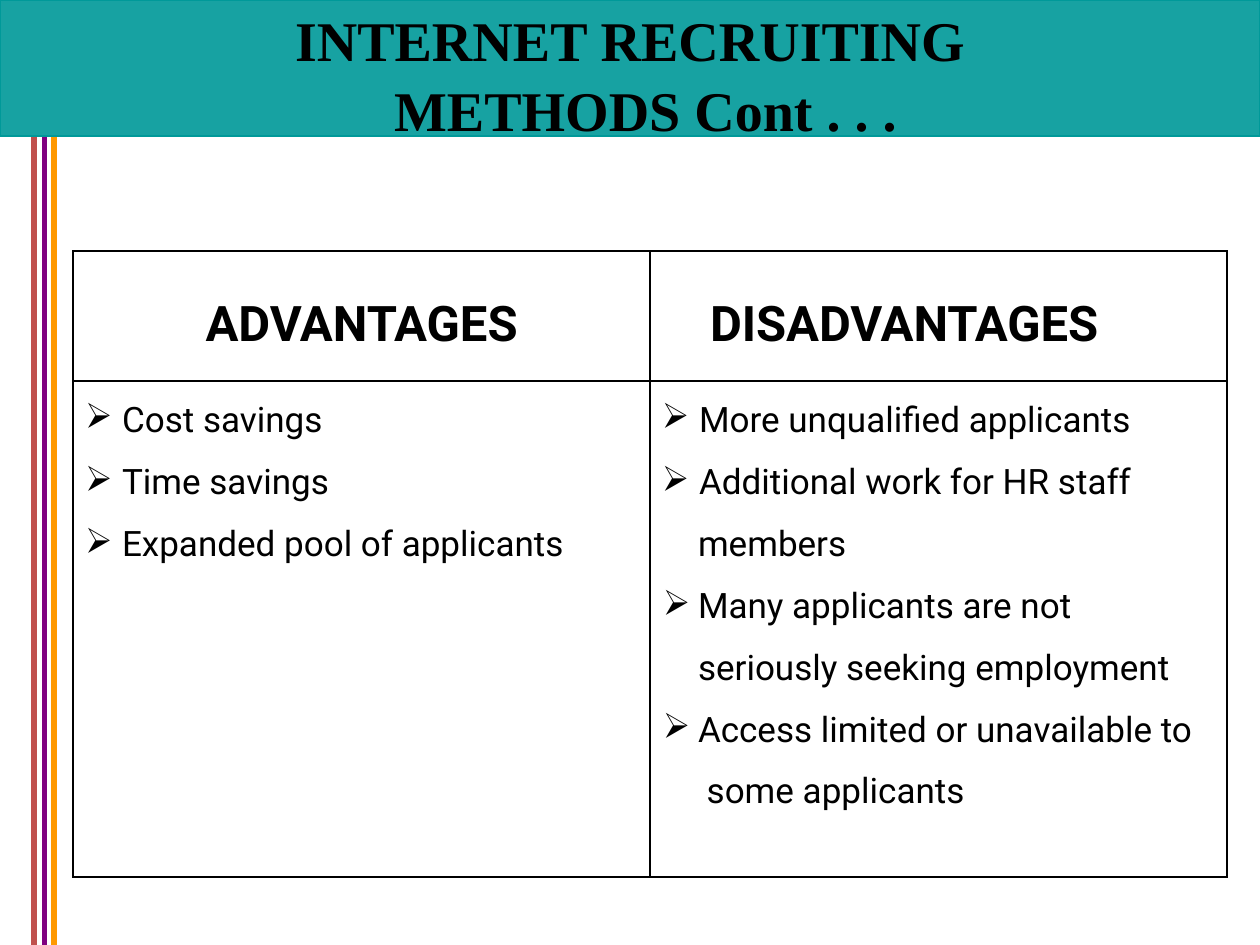
from lxml.etree import SubElement
from pptx import Presentation
from pptx.dml.color import RGBColor
from pptx.enum.shapes import MSO_CONNECTOR, MSO_SHAPE
from pptx.enum.text import PP_ALIGN
from pptx.oxml.ns import qn
from pptx.util import Emu, Pt

SCALE = 914400 / 126
BLACK = RGBColor(0, 0, 0)
WHITE = RGBColor(255, 255, 255)
TEAL = RGBColor(0, 153, 153)
RED = RGBColor(192, 80, 77)
PURPLE = RGBColor(128, 0, 128)
ORANGE = RGBColor(255, 153, 0)
SERIF = "Times New Roman"
SANS = "Roboto"

PROS = [
    (["Cost savings"], 49, 37, 0),
    (["Time savings"], 49, 37, 12),
    (["Expanded pool of applicants"], 49, 37, 12),
]
CONS = [
    (["More unqualified applicants"], 49, 37, 0),
    (["Additional work for HR staff"], 49, 37, 12),
    (["members"], 48, 0, 12),
    (["Many applicants are not", "seriously seeking employment"], 48, 35, None),
    (["Access limited or unavailable to", " some applicants"], 48, 35, None),
]


def px(n):
    return Emu(round(n * SCALE))


def pad(box, top):
    box.margin_left = box.margin_right = box.margin_bottom = 0
    box.margin_top = px(top)


def write(para, lines, face, size, bold=False):
    for i, line in enumerate(lines):
        if i:
            para.add_line_break()
        run = para.add_run()
        run.text = line
        font = run.font
        font.name, font.size, font.bold = face, Pt(size), bold
        font.color.rgb = BLACK
    para.font.size = Pt(size)


def indent(para, left, hang=0):
    props = para._p.get_or_add_pPr()
    props.set("marL", str(px(left)))
    props.set("indent", str(-px(hang)))
    return props


def block(slide, left, top, width, height, color):
    shape = slide.shapes.add_shape(
        MSO_SHAPE.RECTANGLE, px(left), px(top), px(width), px(height))
    shape.shadow.inherit = False
    shape.fill.solid()
    shape.fill.fore_color.rgb = color
    shape.line.fill.background()
    return shape


def stripes(slide, left, top, height):
    for x, color in ((0, RED), (20, ORANGE)):
        line = slide.shapes.add_connector(
            MSO_CONNECTOR.STRAIGHT, px(left + x), px(top),
            px(left + x), px(top + height))
        line.line.color.rgb = color
        line.line.width = Pt(3)
        SubElement(line._element.spPr, qn("a:effectLst"))
    block(slide, left + 8, top, 5, height, PURPLE)


def banner(slide, left, top, width, height):
    band = block(slide, left, top, width, height, TEAL)
    tint = band._element.spPr.find(qn("a:solidFill"))[0]
    SubElement(tint, qn("a:alpha"), val="91000")
    band.line.color.rgb = TEAL
    band.line.width = Pt(1)
    box = slide.shapes.add_textbox(
        px(left + 294), px(top), px(width - 586), px(height + 2))
    frame = box.text_frame
    frame.word_wrap = True
    pad(frame, 2)
    para = frame.paragraphs[0]
    indent(para, 86, 85)
    para.line_spacing = 1.05
    write(para, ["INTERNET RECRUITING", " METHODS Cont . . ."], SERIF, 32, True)


def style(cell, top):
    pad(cell, top)
    props = cell._tc.get_or_add_tcPr()
    for side in ("lnL", "lnR", "lnT", "lnB"):
        edge = SubElement(props, qn("a:" + side), w=str(Pt(1)))
        fill = SubElement(edge, qn("a:solidFill"))
        SubElement(fill, qn("a:srgbClr"), val=str(BLACK))
    cell.fill.solid()
    cell.fill.fore_color.rgb = WHITE


def points(frame, items):
    for i, (lines, left, hang, gap) in enumerate(items):
        para = frame.add_paragraph() if i else frame.paragraphs[0]
        props = indent(para, left, hang)
        if hang:
            SubElement(props, qn("a:buChar"), char="➢")
        if gap is None:
            para.line_spacing = 1.5
        elif gap:
            para.space_before = Pt(gap)
        write(para, lines, SANS, 20)


def grid(slide, left, top, width, height):
    table = slide.shapes.add_table(
        2, 2, px(left), px(top), px(width), px(height)).table
    table.first_row = table.horz_banding = False
    head = 130
    table.rows[0].height = px(head)
    table.rows[1].height = px(height - head)
    parts = (("ADVANTAGES", PROS), ("DISADVANTAGES", CONS))
    for col, (name, items) in enumerate(parts):
        table.columns[col].width = px(width / 2)
        title, body = table.cell(0, col), table.cell(1, col)
        style(title, 45)
        style(body, 19)
        para = title.text_frame.paragraphs[0]
        if col:
            indent(para, 60)
        else:
            para.alignment = PP_ALIGN.CENTER
        write(para, [name], SANS, 28, True)
        points(body.text_frame, items)


def main():
    deck = Presentation()
    deck.slide_width, deck.slide_height = px(1260), px(945)
    slide = deck.slides.add_slide(deck.slide_layouts[6])
    stripes(slide, 34, 136, 809)
    banner(slide, 0, 0, 1260, 136)
    grid(slide, 73, 251, 1154, 626)
    deck.save("out.pptx")


if __name__ == "__main__":
    main()
